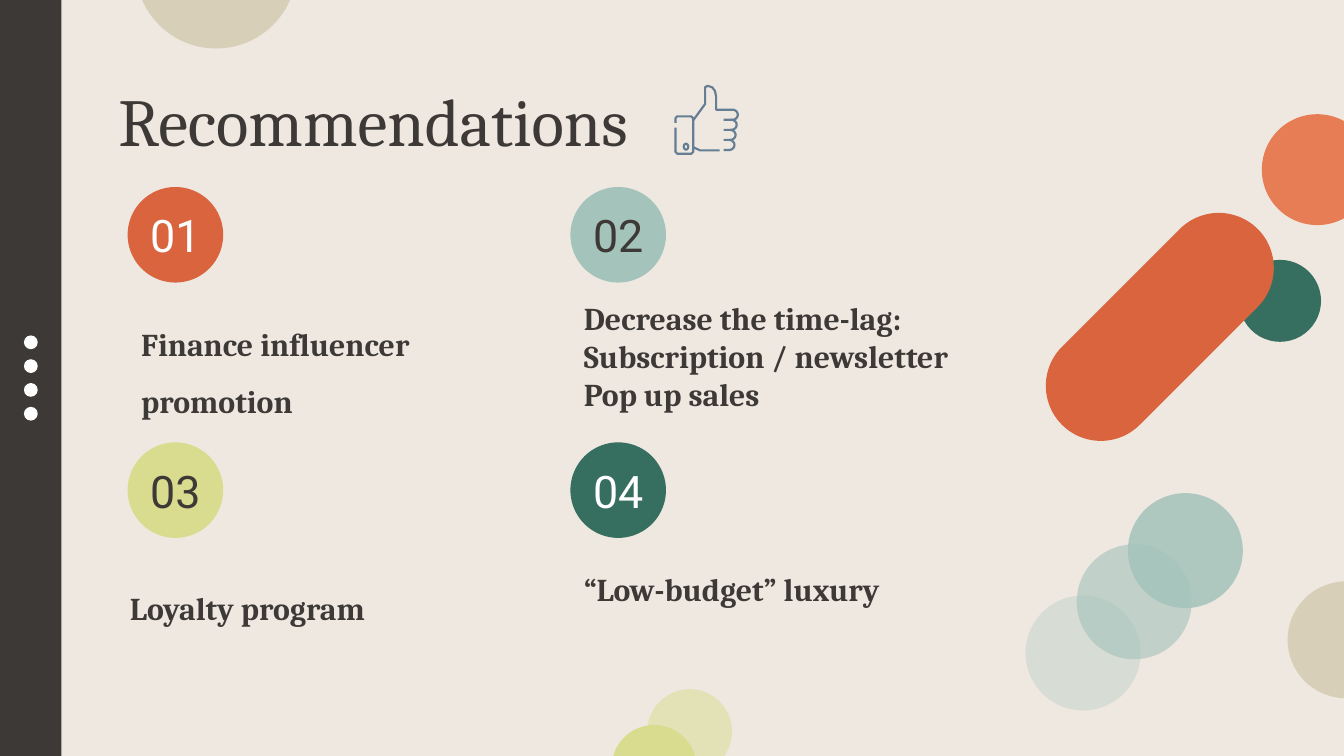
from collections import namedtuple
from dataclasses import dataclass
from math import cos, radians, sin

from lxml import etree
from pptx import Presentation
from pptx.dml.color import RGBColor
from pptx.enum.shapes import MSO_SHAPE
from pptx.enum.text import MSO_ANCHOR, MSO_AUTO_SIZE, PP_ALIGN
from pptx.oxml.ns import qn
from pptx.util import Pt

OVAL = MSO_SHAPE.OVAL
RECTANGLE = MSO_SHAPE.RECTANGLE
PILL = MSO_SHAPE.ROUNDED_RECTANGLE
TOP, MIDDLE = MSO_ANCHOR.TOP, MSO_ANCHOR.MIDDLE
LEFT, CENTER = PP_ALIGN.LEFT, PP_ALIGN.CENTER
NO_FIT = MSO_AUTO_SIZE.NONE

Box = namedtuple("Box", "left top width height")
Item = namedtuple("Item", "number lines fill ink text_box spacing")


@dataclass(frozen=True)
class Theme:
    paper: str = "EEE8E0"
    ink: str = "3D3936"
    white: str = "FFFFFF"
    sand: str = "D8CFB9"
    lime: str = "D9DC8E"
    coral: str = "E77D55"
    orange: str = "D9643D"
    mint: str = "A3C3BB"
    forest: str = "366E5F"
    steel: str = "657E93"
    serif: str = "Cambria"
    sans: str = "Roboto"
    title_size: float = 36
    number_size: float = 24
    body_size: float = 17
    icon_line: float = 1.15
    inset: float = 7.2


THEME = Theme()


def add_filled(page, kind, box, color, opacity=100):
    shape = page.shapes.add_shape(kind, *map(Pt, box))
    shape.shadow.inherit = False
    shape.line.fill.background()
    shape.fill.solid()
    shape.fill.fore_color.rgb = RGBColor.from_string(color)
    if opacity < 100:
        tint = shape._element.spPr.find(".//" + qn("a:srgbClr"))
        etree.SubElement(tint, qn("a:alpha"), val=str(opacity * 1000))
    return shape


def add_circle(page, left, top, size, color, opacity=100):
    return add_filled(page, OVAL, Box(left, top, size, size), color, opacity)


def write_text(holder, box, lines, font, size, color, bold=False,
               align=LEFT, anchor=TOP, spacing=1.0):
    holder.left, holder.top, holder.width, holder.height = map(Pt, box)
    frame = holder.text_frame
    frame.word_wrap = True
    frame.auto_size = NO_FIT
    frame.vertical_anchor = anchor
    frame.margin_left = frame.margin_right = Pt(THEME.inset)
    frame.margin_top = frame.margin_bottom = Pt(THEME.inset)
    for index, line in enumerate(lines):
        para = frame.add_paragraph() if index else frame.paragraphs[0]
        properties = para._p.get_or_add_pPr()
        properties.set("marL", "0")
        properties.set("indent", "0")
        etree.SubElement(properties, qn("a:buNone"))
        para.alignment = align
        para.line_spacing = spacing
        para.space_before = para.space_after = Pt(0)
        span = para.add_run()
        span.text = line
        span.font.name = font
        span.font.size = Pt(size)
        span.font.bold = bold
        span.font.color.rgb = RGBColor.from_string(color)


def draw_sidebar(page, box):
    add_filled(page, RECTANGLE, box, THEME.ink)
    dot, step = 7.4, 12.75
    left = box.left + (box.width - dot) / 2
    for index in range(4):
        add_circle(page, left, box.top + 179.7 + index * step, dot, THEME.white)


def draw_background_circles(page, box):
    circles = [
        (689.8, 311.5, 62.6, THEME.sand, 100),
        (346.8, 369.2, 45.4, THEME.lime, 50),
        (327.7, 388.4, 45.4, THEME.lime, 100),
        (676, 61.2, 59.4, THEME.coral, 100),
        (72.6, -60.4, 86.4, THEME.sand, 100),
        (663.8, 139.2, 43.9, THEME.forest, 100),
    ]
    for left, top, size, color, opacity in circles:
        add_circle(page, box.left + left, box.top + top, size, color, opacity)


def draw_mint_cluster(page, box):
    size, step = 61.6, 27.4
    for index, opacity in enumerate((85, 60, 30)):
        left = box.left + box.width - size - index * step
        add_circle(page, left, box.top + index * step, size, THEME.mint, opacity)


def draw_pill(page, box):
    pill = add_filled(page, PILL, box, THEME.orange)
    pill.adjustments[0] = 0.5
    pill.rotation = 315


def draw_item(page, holder, box, item):
    add_filled(page, OVAL, box, item.fill)
    number_box = Box(box.left, box.top + 7, box.width, 37.4)
    write_text(page.shapes.add_textbox(0, 0, 0, 0), number_box, [item.number],
               THEME.sans, THEME.number_size, item.ink,
               align=CENTER, anchor=MIDDLE)
    left, top, width, height = item.text_box
    text_box = Box(box.left + left, box.top + top, width, height)
    write_text(holder, text_box, item.lines, THEME.serif, THEME.body_size,
               THEME.ink, bold=True, spacing=item.spacing)


def draw_items(page, holders, box):
    items = [
        Item("01", ["Finance influencer promotion"], THEME.orange, THEME.white,
             Box(0, 56.2, 218.2, 69.8), 1.5),
        Item("02", ["Decrease the time-lag:", "Subscription / newsletter",
                    "Pop up sales"], THEME.mint, THEME.ink,
             Box(0, 52.6, 218.2, 99.4), 1.0),
        Item("03", ["Loyalty program"], THEME.lime, THEME.ink,
             Box(-6, 61.2, 203, 48.2), 1.5),
        Item("04", ["“Low-budget” luxury"], THEME.forest, THEME.white,
             Box(0, 61.2, 236.9, 63.4), 1.0),
    ]
    size = 51.2
    for index, (holder, item) in enumerate(zip(holders, items)):
        row, column = divmod(index, 2)
        circle = Box(box.left + column * (box.width - size),
                     box.top + row * (box.height - size), size, size)
        draw_item(page, holder, circle, item)


def outline(shape):
    shape.shadow.inherit = False
    shape.fill.background()
    shape.line.color.rgb = RGBColor.from_string(THEME.steel)
    shape.line.width = Pt(THEME.icon_line)


def knuckle(index):
    center_x, center_y = 31 - 0.6 * index, 16.1 + 5.4 * index
    arc = [(center_x + 2.9 * cos(radians(angle)),
            center_y + 2.7 * sin(radians(angle)))
           for angle in range(-90, 91, 15)]
    return arc + [(26.3, center_y + 2.7)]


def draw_thumb(page, box):
    cuff = [(0.5, 20.5), (0.5, 18), (1.3, 17), (9, 17), (10, 18), (10, 36),
            (9, 37), (1.5, 37), (0.5, 36), (0.5, 23)]
    palm = [(24.2, 35.2), (13.7, 35.2), (10, 33.5)]
    thumb = [(10, 19.1), (16.4, 10.3), (16.4, 1.3), (17.8, 0.6), (20.2, 1.4),
             (21.7, 3.4), (22.3, 6.5), (22.3, 13.4)]
    strokes = [cuff, palm, thumb + knuckle(0)]
    strokes += [knuckle(index) for index in range(1, 4)]
    placed = [[(Pt(box.left + x), Pt(box.top + y)) for x, y in stroke]
              for stroke in strokes]
    builder = page.shapes.build_freeform(*placed[0][0])
    for index, stroke in enumerate(placed):
        if index:
            builder.move_to(*stroke[0])
        builder.add_line_segments(stroke[1:], close=False)
    outline(builder.convert_to_shape())
    button = Box(box.left + 4.9, box.top + 31.6, 2.4, 3.2)
    outline(page.shapes.add_shape(OVAL, *map(Pt, button)))


def main():
    deck = Presentation()
    deck.slide_width, deck.slide_height = Pt(720), Pt(405)
    page = deck.slides.add_slide(deck.slide_layouts.get_by_name("Comparison"))
    page.background.fill.solid()
    page.background.fill.fore_color.rgb = RGBColor.from_string(THEME.paper)
    title, *holders = page.placeholders
    draw_sidebar(page, Box(0, 0, 33, 405))
    draw_background_circles(page, Box(0, 0, 720, 405))
    write_text(title, Box(56.2, 35.3, 607.7, 58.3), ["Recommendations"],
               THEME.serif, THEME.title_size, THEME.ink)
    draw_items(page, holders, Box(68.4, 100.2, 288.4, 188))
    draw_mint_cluster(page, Box(549.4, 264.2, 116.4, 116.4))
    draw_pill(page, Box(547.2, 145.6, 148.3, 59))
    draw_thumb(page, Box(361.4, 45.4, 34.6, 37.4))
    deck.save("out.pptx")


if __name__ == "__main__":
    main()
